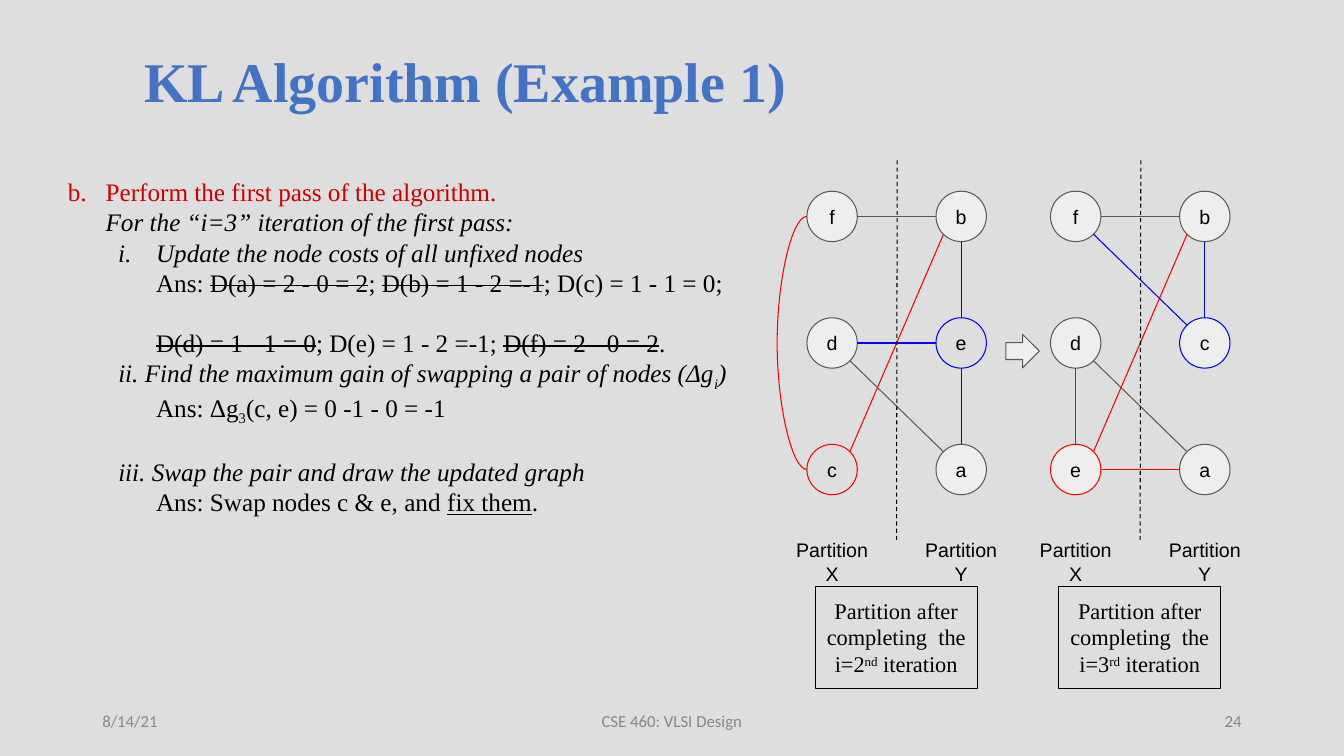
from lxml import etree
from pptx import Presentation
from pptx.dml.color import RGBColor
from pptx.enum.dml import MSO_LINE
from pptx.enum.shapes import MSO_CONNECTOR as LINK, MSO_SHAPE as SHAPE, MSO_SHAPE_TYPE as KIND
from pptx.enum.text import MSO_ANCHOR as ANCHOR, MSO_AUTO_SIZE as FIT, PP_ALIGN as ALIGN
from pptx.oxml.ns import qn
from pptx.util import Pt

COLORS = {"background": "DDDEDD", "title": "4472C4", "question": "CC0000", "black": "000000",
          "footer": "888888", "node": "EEEEEE", "gray": "595959", "red": "FF0000", "blue": "0000FF"}
SERIF, SANS = "Times New Roman", "Arial"


def rgb(name):
    return RGBColor.from_string(COLORS[name])


def add_run(paragraph, text, font, size, color="black", **marks):
    run = paragraph.add_run()
    run.text = text
    run.font.name, run.font.size = font, Pt(size)
    run.font.color.rgb = rgb(color)
    for mark, value in marks.items():
        run._r.get_or_add_rPr().set(mark, value)


prs = Presentation()
prs.slide_width, prs.slide_height = Pt(960), Pt(540)
slide = prs.slides.add_slide(prs.slide_layouts[5])
shapes = slide.shapes
slide.background.fill.solid()
slide.background.fill.fore_color.rgb = rgb("background")

# Title
title = shapes.title
title.left, title.top, title.width, title.height = Pt(95.8), Pt(33.8), Pt(715.7), Pt(56.2)
heading = title.text_frame
heading.vertical_anchor = ANCHOR.MIDDLE
heading.margin_top = Pt(0.7)
heading.paragraphs[0].alignment = ALIGN.LEFT
heading.paragraphs[0].line_spacing = 0.9
add_run(heading.paragraphs[0], "KL Algorithm (Example 1)", SERIF, 40, "title", b="1")

# Question and answers: left margin, first-line indent, space before, numbering, runs
ITALIC, STRUCK, UNDER, SUB = {"i": "1"}, {"strike": "sngStrike"}, {"u": "sng"}, {"baseline": "-25000"}
steps = [
    (72, -27, 0, ("romanLcPeriod", 1, "black"),
     [("Update the node costs of all unfixed nodes", ITALIC)]),
    (72, 0, 0, None,
     [("Ans: ", {}), ("D(a) = 2 - 0 = 2", STRUCK), ("; ", {}), ("D(b) = 1 - 2 =-1", STRUCK),
      ("; D(c) = 1 - 1 = 0;", {})]),
    (72, 0, 21.5, None,
     [("D(d) = 1 - 1 = 0", STRUCK), ("; D(e) = 1 - 2 =-1; ", {}), ("D(f) = 2 - 0 = 2", STRUCK),
      (".", {})]),
    (45, 0, 0, None,
     [("ii. Find the maximum gain of swapping a pair of nodes (Δg", ITALIC),
      ("i", ITALIC | SUB), (")", ITALIC)]),
    (72, 0, 0, None, [("Ans: Δg", {}), ("3", SUB), ("(c, e) = 0 -1 - 0 = -1", {})]),
    (45, 0, 21.5, None, [("iii. Swap the pair and draw the updated graph", ITALIC)]),
    (72, 0, 0, None, [("Ans: Swap nodes c & e, and ", {}), ("fix them", UNDER), (".", {})]),
]
question = (36, -27, 0, ("alphaLcPeriod", 2, "question"), [])
answers = shapes.add_textbox(Pt(32.4), Pt(118.8), Pt(512), Pt(268)).text_frame
answers.word_wrap = True
answers.margin_left = answers.margin_right = answers.margin_top = answers.margin_bottom = Pt(7.2)
for number, (margin, indent, before, numbering, runs) in enumerate([question] + steps):
    line = answers.add_paragraph() if number else answers.paragraphs[0]
    props = line._p.get_or_add_pPr()
    props.set("marL", str(Pt(margin)))
    props.set("indent", str(Pt(indent)))
    if before:
        line.space_before = Pt(before)
    if numbering:
        scheme, start, color = numbering
        tint = etree.SubElement(props, qn("a:buClr"))
        etree.SubElement(tint, qn("a:srgbClr"), val=COLORS[color])
        etree.SubElement(props, qn("a:buAutoNum"), type=scheme, startAt=str(start))
    for text, marks in runs:
        add_run(line, text, SERIF, 18, **marks)
ask = answers.paragraphs[0]
add_run(ask, "Perform the first pass of the algorithm.", SERIF, 18, "question")
ask.add_line_break()
add_run(ask, "For the “i=3” iteration of the first pass:", SERIF, 18, **ITALIC)

# Partition graphs: nodes by (column, row), edges by node and compass point
NODE, COLUMN, ROW, LEFT, TOP, GRAPH_STEP = 36, 92.2, 90.4, 576.4, 136.6, 174
COMPASS = {"N": (0.5, 0), "NE": (0.85, 0.15), "E": (1, 0.5), "SE": (0.85, 0.85),
           "S": (0.5, 1), "SW": (0.15, 0.85), "W": (0, 0.5), "NW": (0.15, 0.15)}
graphs = [
    ("2", "nd", ["fb", "de", "ca"], {"c": "red", "e": "blue"}, "ce",
     [("f", "E", "b", "W", "gray"), ("d", "E", "e", "W", "blue"), ("c", "NE", "b", "SW", "red"),
      ("d", "SE", "a", "NW", "gray"), ("e", "S", "a", "N", "blue"), ("b", "S", "e", "N", "blue")]),
    ("3", "rd", ["fb", "dc", "ea"], {"e": "red", "c": "blue"}, "",
     [("f", "E", "b", "W", "gray"), ("d", "SE", "a", "NW", "gray"), ("e", "N", "d", "S", "red"),
      ("e", "E", "a", "W", "red"), ("e", "NE", "b", "SW", "red"), ("b", "S", "c", "N", "blue"),
      ("f", "SE", "c", "NW", "blue")]),
]
for index, (iteration, ordinal, rows, outlines, hollow, edges) in enumerate(graphs):
    left = LEFT + index * GRAPH_STEP
    corner = {name: (left + col * COLUMN, TOP + row * ROW)
              for row, names in enumerate(rows) for col, name in enumerate(names)}
    for name, (x, y) in corner.items():
        node = shapes.add_shape(SHAPE.OVAL, Pt(x), Pt(y), Pt(NODE), Pt(NODE))
        node.shadow.inherit = False
        if name in hollow:
            node.fill.background()
        else:
            node.fill.solid()
            node.fill.fore_color.rgb = rgb("node")
        node.line.color.rgb = rgb(outlines.get(name, "gray"))
        node.line.width = Pt(0.75)
        label = node.text_frame
        label.margin_left = label.margin_right = label.margin_top = label.margin_bottom = 0
        label.vertical_anchor = ANCHOR.MIDDLE
        label.paragraphs[0].alignment = ALIGN.CENTER
        add_run(label.paragraphs[0], name, SANS, 14)

    for start, out, end, into, color in edges:
        ends = [Pt(corner[name][axis] + NODE * COMPASS[point][axis])
                for name, point in ((start, out), (end, into)) for axis in (0, 1)]
        edge = shapes.add_connector(LINK.STRAIGHT, *ends)
        edge.line.color.rgb = rgb(color)

    cut = shapes.add_connector(LINK.STRAIGHT, Pt(left + 64.5), Pt(114.5), Pt(left + 64), Pt(386.6))
    cut.line.color.rgb = rgb("black")
    cut.line.dash_style = MSO_LINE.DASH

    # Side names and caption under the graph
    for side, letter in enumerate("XY"):
        side_name = shapes.add_textbox(Pt(left + side * COLUMN - 15.5), Pt(377.3), Pt(67), Pt(48)).text_frame
        caption_box = shapes.add_shape(SHAPE.RECTANGLE, Pt(left + 6), Pt(419), Pt(115.5), Pt(72.7)) if side else None
        side_name.word_wrap = True
        side_name.auto_size = FIT.SHAPE_TO_FIT_TEXT
        side_name.margin_top = side_name.margin_bottom = Pt(7.2)
        side_name.paragraphs[0].alignment = ALIGN.CENTER
        add_run(side_name.paragraphs[0], f"Partition {letter}", SANS, 14)
    caption_box.shadow.inherit = False
    caption_box.fill.background()
    caption_box.line.color.rgb = rgb("black")
    caption_box.line.width = Pt(0.75)
    caption = caption_box.text_frame
    caption.word_wrap = True
    caption.auto_size = FIT.SHAPE_TO_FIT_TEXT
    caption.vertical_anchor = ANCHOR.TOP
    caption.margin_top = caption.margin_bottom = Pt(7.2)
    caption.paragraphs[0].alignment = ALIGN.CENTER
    add_run(caption.paragraphs[0], f"Partition after completing  the i={iteration}", SERIF, 16)
    add_run(caption.paragraphs[0], ordinal, SERIF, 16, baseline="30000")
    add_run(caption.paragraphs[0], " iteration", SERIF, 16)

# Curved edge from f to c, bulging 18.75 pt to the left
middle = TOP + NODE / 2
bend = shapes.add_connector(LINK.CURVE, Pt(LEFT), Pt(middle), Pt(LEFT + 0.05), Pt(middle + 2 * ROW))
bend.line.color.rgb = rgb("red")
guides = bend._element.spPr.find(qn("a:prstGeom")).get_or_add_avLst()
etree.SubElement(guides, qn("a:gd"), name="adj1", fmla="val -37500000")

# Arrow between the graphs
arrow = shapes.add_shape(SHAPE.RIGHT_ARROW, Pt(718.4), Pt(238.8), Pt(24), Pt(24))
arrow.shadow.inherit = False
arrow.fill.solid()
arrow.fill.fore_color.rgb = rgb("node")
arrow.line.color.rgb = rgb("gray")
arrow.line.width = Pt(0.75)

# Thin, shadowless lines
for link in shapes:
    if link.shape_type == KIND.LINE:
        link.line.width = Pt(0.75)
        etree.SubElement(link._element.spPr, qn("a:effectLst"))

# Footer
for text, left, width, align in [("8/14/21", 66, 216, ALIGN.LEFT),
                                 ("CSE 460: VLSI Design", 318, 324, ALIGN.CENTER),
                                 ("24", 678, 216, ALIGN.RIGHT)]:
    footer = shapes.add_textbox(Pt(left), Pt(500.5), Pt(width), Pt(28.75)).text_frame
    footer.word_wrap = True
    footer.vertical_anchor = ANCHOR.MIDDLE
    footer.paragraphs[0].alignment = align
    add_run(footer.paragraphs[0], text, "Calibri", 12, "footer")

prs.save("out.pptx")
